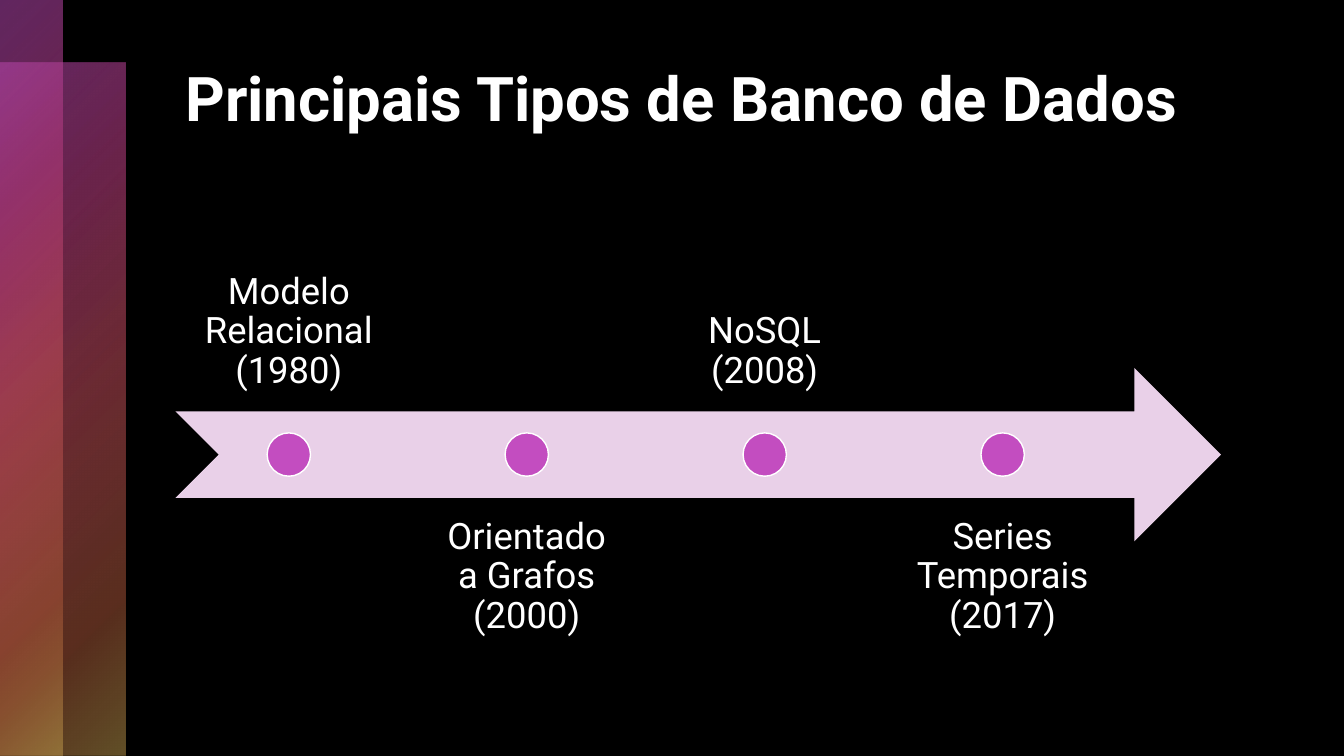
from lxml.etree import SubElement
from pptx import Presentation
from pptx.dml.color import RGBColor
from pptx.enum.shapes import MSO_SHAPE
from pptx.enum.text import MSO_ANCHOR, PP_ALIGN
from pptx.oxml.ns import qn
from pptx.util import Inches, Pt

BLACK = RGBColor(0x00, 0x00, 0x00)
WHITE = RGBColor(0xFF, 0xFF, 0xFF)
PINK = RGBColor(0xE9, 0xD0, 0xE8)
MAGENTA = RGBColor(0xC3, 0x4D, 0xC0)
ROSE = RGBColor(0xB1, 0x3B, 0x7D)
RED = RGBColor(0xC3, 0x4D, 0x5E)
RUST = RGBColor(0xB1, 0x5B, 0x3B)
GOLD = RGBColor(0xC3, 0x9E, 0x4D)

WIDTH, HEIGHT = 13.33, 7.5
LEFT, SPAN = 1.74, 10.37
STRIPE = 0.62
ARROW_TOP, ARROW_HEIGHT = 3.65, 1.72
QUARTER = ARROW_HEIGHT / 4
STEP, LABEL_WIDTH = 2.36, 2.25

deck = Presentation()
deck.slide_width, deck.slide_height = Inches(WIDTH), Inches(HEIGHT)
page = deck.slides.add_slide(deck.slide_layouts[6])
page.background.fill.solid()
page.background.fill.fore_color.rgb = BLACK


def add_form(kind, left, top, width, height, color):
    form = page.shapes.add_shape(
        kind, Inches(left), Inches(top), Inches(width), Inches(height))
    form.shadow.inherit = False
    form.fill.solid()
    form.fill.fore_color.rgb = color
    form.line.fill.background()
    return form


def add_text(text, left, top, width, height, size, margins):
    box = page.shapes.add_textbox(
        Inches(left), Inches(top), Inches(width), Inches(height))
    frame = box.text_frame
    frame.word_wrap = True
    frame.margin_left = frame.margin_right = Inches(margins[0])
    frame.margin_top = frame.margin_bottom = Inches(margins[1])
    para = frame.paragraphs[0]
    span = para.add_run()
    span.text = text
    span.font.name = "Roboto"
    span.font.size = Pt(size)
    span.font.color.rgb = WHITE
    return frame, para, span


for top, width, middle in ((STRIPE, 2 * STRIPE, 50), (0, STRIPE, 49)):
    stripe = add_form(MSO_SHAPE.RECTANGLE, 0, top, width, HEIGHT - top, MAGENTA)
    stripe.fill.gradient()
    gradient = stripe.fill._fill._gradFill
    for child in list(gradient):
        gradient.remove(child)
    stops = SubElement(gradient, qn("a:gsLst"))
    for place, color, opacity in ((0, MAGENTA, 50), (25, ROSE, 60),
                                  (middle, RED, 55), (81, RUST, 50),
                                  (99, GOLD, 50)):
        stop = SubElement(stops, qn("a:gs"), pos=str(place * 1000))
        tint = SubElement(stop, qn("a:srgbClr"), val=str(color))
        SubElement(tint, qn("a:alpha"), val=str(opacity * 1000))
    circle = SubElement(gradient, qn("a:path"), path="circle")
    SubElement(circle, qn("a:fillToRect"), r="100000", b="100000")

frame, para, span = add_text("Principais Tipos de Banco de Dados",
                             LEFT, 0.5, SPAN, 1.7, 44, (0.1, 0.09))
span.font.bold = True

add_form(MSO_SHAPE.NOTCHED_RIGHT_ARROW,
         LEFT, ARROW_TOP, SPAN, ARROW_HEIGHT, PINK)

milestones = ("Modelo Relacional (1980)", "Orientado a Grafos (2000)",
              "NoSQL (2008)", "Series Temporais (2017)")
for column, milestone in enumerate(milestones):
    left = LEFT + column * STEP
    above = column % 2 == 0
    top = ARROW_TOP + (-3 if above else 3) * QUARTER
    frame, para, span = add_text(milestone, left, top, LABEL_WIDTH,
                                 ARROW_HEIGHT, 26, (0.2, 0.2))
    frame.vertical_anchor = MSO_ANCHOR.BOTTOM if above else MSO_ANCHOR.TOP
    para.alignment = PP_ALIGN.CENTER
    para.line_spacing = 0.9
    dot = add_form(MSO_SHAPE.OVAL, left + (LABEL_WIDTH - QUARTER) / 2,
                   ARROW_TOP + 1.5 * QUARTER, QUARTER, QUARTER, MAGENTA)
    dot.line.color.rgb = WHITE
    dot.line.width = Pt(1)

deck.save("out.pptx")
